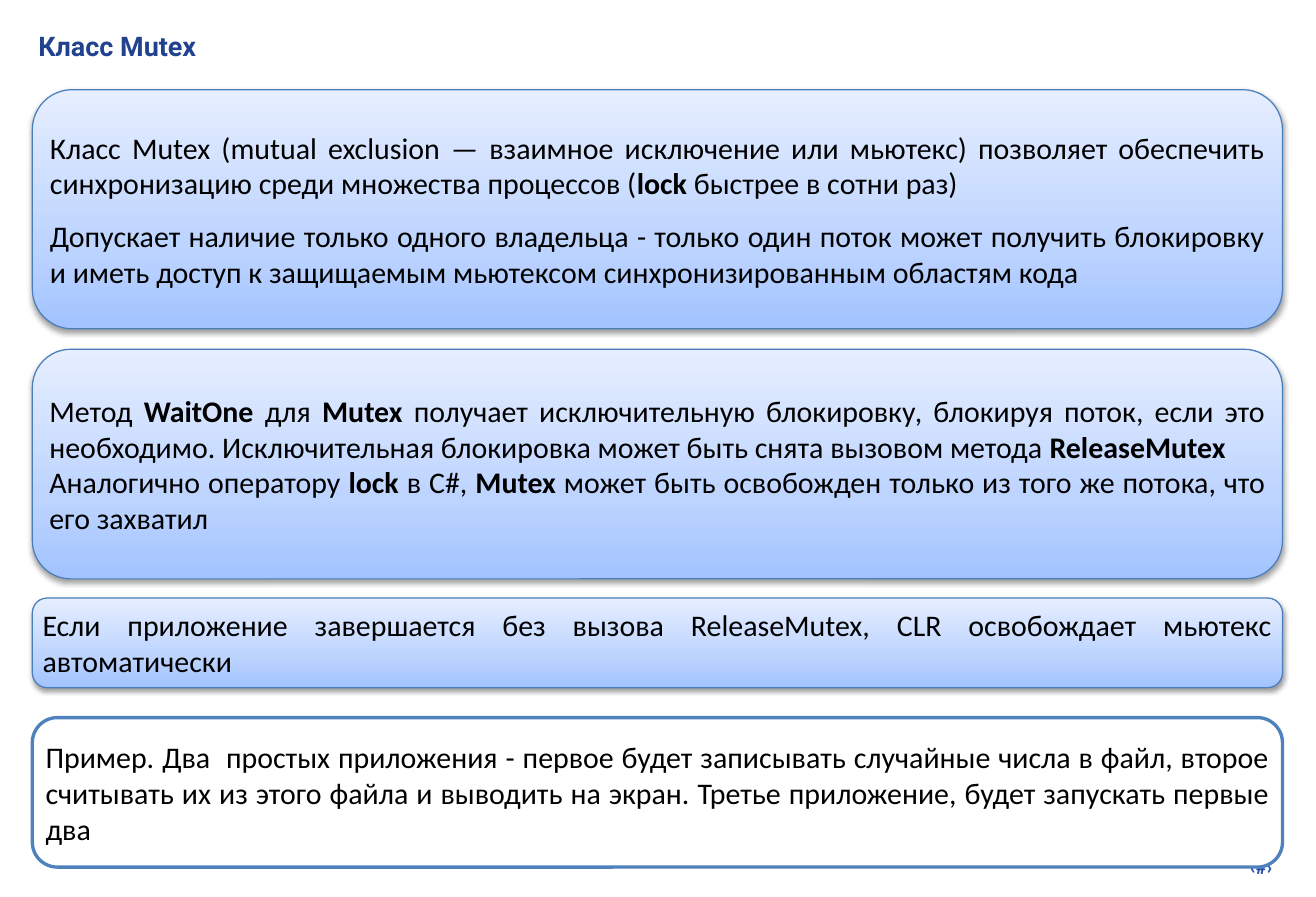
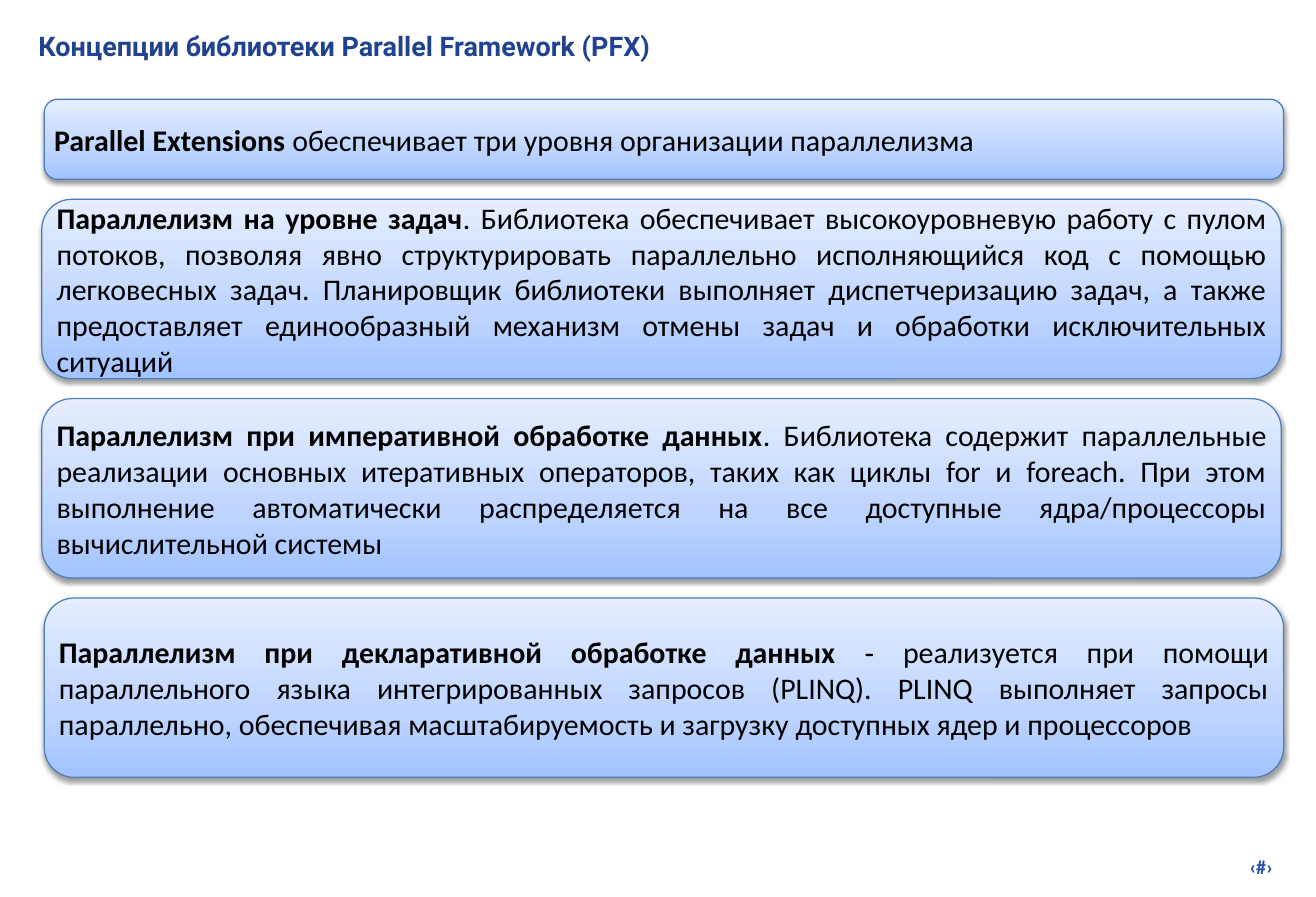
from copy import deepcopy
from dataclasses import dataclass

from lxml import etree
from pptx import Presentation
from pptx.dml.color import RGBColor
from pptx.enum.shapes import MSO_SHAPE
from pptx.enum.text import MSO_ANCHOR, MSO_AUTO_SIZE, PP_ALIGN
from pptx.oxml.ns import qn
from pptx.util import Inches, Pt

ROUNDED = MSO_SHAPE.ROUNDED_RECTANGLE
TOP, MIDDLE = MSO_ANCHOR.TOP, MSO_ANCHOR.MIDDLE
LEFT, RIGHT, JUSTIFY = PP_ALIGN.LEFT, PP_ALIGN.RIGHT, PP_ALIGN.JUSTIFY
NO_FIT, GROW = MSO_AUTO_SIZE.NONE, MSO_AUTO_SIZE.SHAPE_TO_FIT_TEXT
TITLE_ONLY = 5


@dataclass(frozen=True)
class Theme:
    title_font: str = "Roboto"
    body_font: str = "Calibri"
    title_size: float = 16.2
    body_size: float = 18
    number_size: float = 12
    title: str = "21438F"
    number: str = "2750AB"
    text: str = "000000"
    paper: str = "FFFFFF"
    panel_line: str = "4A7EBB"
    frame_line: str = "4F81BD"
    gradient: tuple = ((0, "A2C3FF"), (0.35, "BDD4FF"), (1, "E6EEFF"))
    radius: float = 0.167
    inset: float = 0.05
    line_height: float = 0.305
    space_before: float = 10


T = Theme()


def rgb(value):
    return RGBColor.from_string(value)


def set_attrs(obj, **values):
    for name, value in values.items():
        setattr(obj, name, value)


def format_font(font, name, size, color, bold):
    set_attrs(font, name=name, size=Pt(size), bold=bold)
    font.color.rgb = rgb(color)


def format_frame(tf, anchor, fit):
    margins = ("margin_left", "margin_top", "margin_right", "margin_bottom")
    set_attrs(tf, **dict.fromkeys(margins, Inches(T.inset)))
    set_attrs(tf, word_wrap=True, vertical_anchor=anchor, auto_size=fit)


def add_title(s, text):
    title = s.shapes.title
    set_attrs(title, left=Inches(0.27), top=Inches(0.2),
              width=Inches(10.5), height=Inches(0.4))
    format_frame(title.text_frame, TOP, NO_FIT)
    p = title.text_frame.paragraphs[0]
    p.alignment = LEFT
    tabs = etree.SubElement(p._p.get_or_add_pPr(), qn("a:tabLst"))
    etree.SubElement(tabs, qn("a:tab"), pos=str(Inches(9)), algn="r")
    r = p.add_run()
    r.text = text
    format_font(r.font, T.title_font, T.title_size, T.title, True)


def add_layout_number(layout, s):
    """Build the page number mark and hand it to the shared layout."""
    sp = s.shapes.add_textbox(Inches(8.36), Inches(7.1), Inches(2.33), Inches(0.29))
    format_frame(sp.text_frame, TOP, GROW)
    p = sp.text_frame.paragraphs[0]
    p.alignment = RIGHT
    r = p.add_run()
    r.text = "‹#›"
    format_font(r.font, T.body_font, T.number_size, T.number, True)
    layout.shapes.element.append(sp.element)


def style_panel(sp):
    """Blue gradient rising from the bottom, thin outline, soft shadow."""
    sp.fill.gradient()
    sp.fill.gradient_angle = 90
    stops = sp.element.spPr.find(".//" + qn("a:gsLst"))
    stops.append(deepcopy(stops[0]))
    for stop, (position, color) in zip(sp.fill.gradient_stops, T.gradient):
        stop.position = position
        stop.color.rgb = rgb(color)
    sp.line.color.rgb = rgb(T.panel_line)
    sp.line.width = Pt(0.75)
    effects = sp.element.spPr.find(qn("a:effectLst"))
    shadow = etree.SubElement(effects, qn("a:outerShdw"), blurRad=str(Pt(3)),
                              dist=str(Pt(1.6)), dir="5400000", rotWithShape="0")
    color = etree.SubElement(shadow, qn("a:srgbClr"), val="000000")
    etree.SubElement(color, qn("a:alpha"), val="38000")


def style_frame(sp):
    """White box with a heavy outline."""
    sp.fill.solid()
    sp.fill.fore_color.rgb = rgb(T.paper)
    sp.line.color.rgb = rgb(T.frame_line)
    sp.line.width = Pt(2)


def add_text(shapes, box, paragraphs, lines, gap):
    """Centre the text in the box; parts between bars are bold."""
    left, top, width, height = box
    pad = 0.29 * T.radius * height
    text_height = lines * T.line_height + 2 * T.inset + (len(paragraphs) - 1) * gap / 72
    sp = shapes.add_textbox(Inches(left + pad), Inches(top + (height - text_height) / 2),
                            Inches(width - 2 * pad), Inches(text_height))
    tf = sp.text_frame
    format_frame(tf, MIDDLE, GROW)
    for i, text in enumerate(paragraphs):
        p = tf.add_paragraph() if i else tf.paragraphs[0]
        p.alignment = JUSTIFY
        if i:
            p.space_before = Pt(gap)
        for j, part in enumerate(text.split("|")):
            if part:
                r = p.add_run()
                r.text = part
                format_font(r.font, T.body_font, T.body_size, T.text, j % 2 == 1)


def add_panel(s, box, paragraphs, lines, gap=T.space_before, style=style_panel):
    shapes = s.shapes.add_group_shape().shapes
    sp = shapes.add_shape(ROUNDED, *map(Inches, box))
    sp.adjustments[0] = T.radius
    sp.shadow.inherit = False
    style(sp)
    add_text(shapes, box, paragraphs, lines, gap)


def build_mutex(s):
    add_title(s, "Класс Mutex")
    left, width = 0.27, 10.45
    add_panel(s, (left, 0.75, width, 2), [
        "Класс Mutex (mutual exclusion — взаимное исключение или мьютекс) позволяет "
        "обеспечить синхронизацию среди множества процессов (|lock| быстрее в сотни раз)",
        "Допускает наличие только одного владельца - только один поток может получить "
        "блокировку и иметь доступ к защищаемым мьютексом синхронизированным областям кода",
    ], lines=4)
    add_panel(s, (left, 2.92, width, 1.92), [
        "Метод |WaitOne| для| Mutex| получает исключительную блокировку, блокируя поток, "
        "если это необходимо. Исключительная блокировка может быть снята вызовом "
        "метода |ReleaseMutex|",
        "Аналогично оператору |lock| в C#, |Mutex| может быть освобожден только из того "
        "же потока, что его захватил",
    ], lines=4, gap=0)
    add_panel(s, (left, 5, width, 0.75), [
        "Если приложение завершается без вызова ReleaseMutex, CLR освобождает мьютекс "
        "автоматически",
    ], lines=2)
    add_panel(s, (left, 6, width, 1.25), [
        "Пример. Два  простых приложения - первое будет записывать случайные числа в файл, "
        "второе считывать их из этого файла и выводить на экран. Третье приложение, будет "
        "запускать первые два",
    ], lines=3, style=style_frame)


def build_concepts(s):
    add_title(s, "Концепции библиотеки Parallel Framework (PFX)")
    width = 10.36
    add_panel(s, (0.37, 0.83, width, 0.67), [
        "|Parallel Extensions |обеспечивает три уровня организации параллелизма",
    ], lines=1)
    # Three levels of parallelism at an equal pitch
    levels = [
        (0.35, 5, "|Параллелизм на уровне задач|. Библиотека обеспечивает высокоуровневую "
         "работу с пулом потоков, позволяя явно структурировать параллельно исполняющийся "
         "код с помощью легковесных задач. Планировщик библиотеки выполняет диспетчеризацию "
         "задач, а также предоставляет единообразный механизм отмены задач и обработки "
         "исключительных ситуаций"),
        (0.35, 4, "|Параллелизм при императивной обработке данных|. Библиотека содержит "
         "параллельные реализации основных итеративных операторов, таких как циклы for и "
         "foreach. При этом выполнение автоматически распределяется на все доступные "
         "ядра/процессоры вычислительной системы"),
        (0.37, 3, "|Параллелизм при декларативной обработке данных |‑ реализуется при помощи "
         "параллельного языка интегрированных запросов (PLINQ). PLINQ выполняет запросы "
         "параллельно, обеспечивая масштабируемость и загрузку доступных ядер и процессоров"),
    ]
    height, pitch = 1.5, 5 / 3
    for i, (left, lines, text) in enumerate(levels):
        add_panel(s, (left, (i + 1) * pitch, width, height), [text], lines)


def main():
    prs = Presentation()
    set_attrs(prs, slide_width=Inches(11), slide_height=Inches(7.5))
    layout = prs.slide_layouts[TITLE_ONLY]
    slides = [prs.slides.add_slide(layout) for _ in range(2)]
    add_layout_number(layout, slides[0])
    build_mutex(slides[0])
    build_concepts(slides[1])
    prs.save("out.pptx")


if __name__ == "__main__":
    main()
